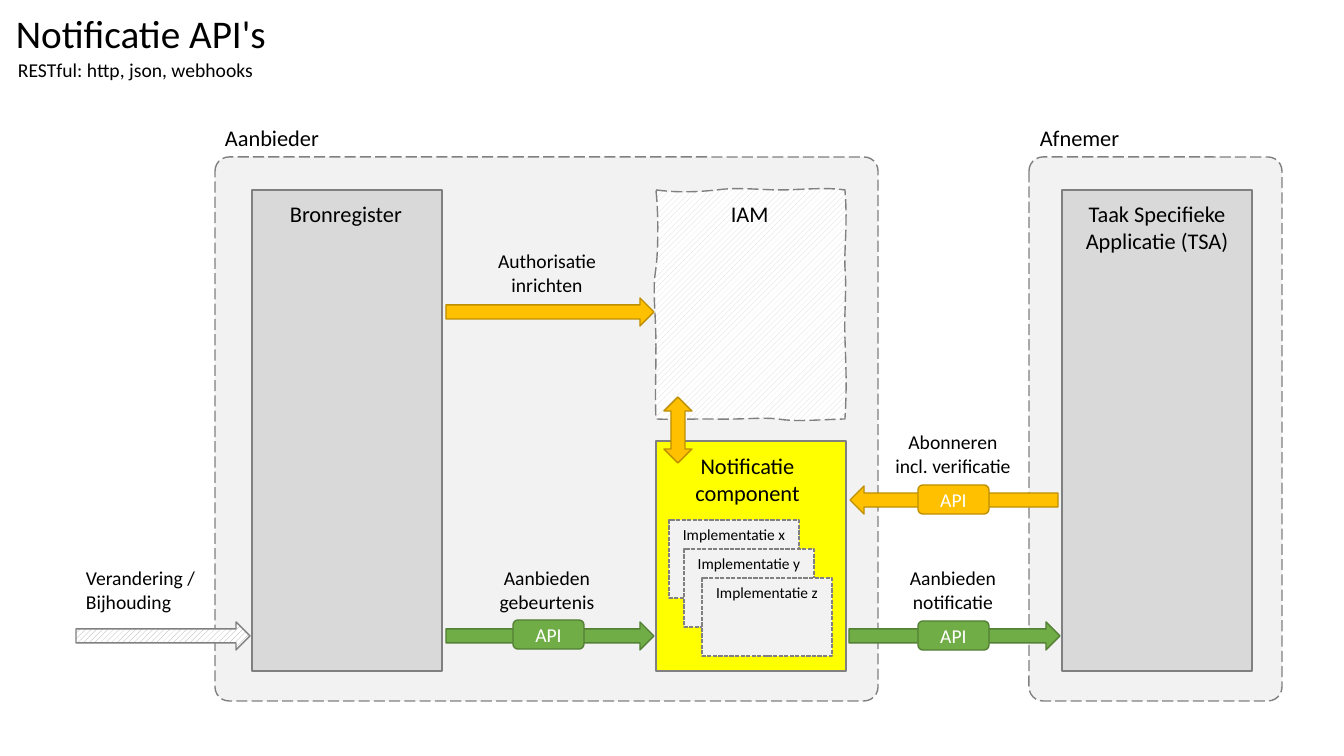
import pptx
import pptx.util
import pptx.dml.color
import pptx.enum.dml
import pptx.enum.shapes
import pptx.enum.text

RGB = pptx.dml.color.RGBColor
SHAPE = pptx.enum.shapes.MSO_SHAPE
DASH = pptx.enum.dml.MSO_LINE
ALIGN = pptx.enum.text.PP_ALIGN
ANCHOR = pptx.enum.text.MSO_ANCHOR

BLACK = RGB(0x00, 0x00, 0x00)
WHITE = RGB(0xFF, 0xFF, 0xFF)
PALE = RGB(0xF2, 0xF2, 0xF2)
LIGHT = RGB(0xD9, 0xD9, 0xD9)
HATCH = RGB(0xA5, 0xA5, 0xA5)
GREY = RGB(0x80, 0x80, 0x80)
YELLOW = RGB(0xFF, 0xFF, 0x00)
GREEN = RGB(0x70, 0xAD, 0x47)
DARK_GREEN = RGB(0x53, 0x80, 0x35)
AMBER = RGB(0xFF, 0xC0, 0x00)
DARK_AMBER = RGB(0xBD, 0x8E, 0x00)

FONT = "Calibri"
PX = 914400 / 100.8
CORNER = 14

ZONES = [(215, 157, 663, 544), (1029, 157, 253, 544)]
BLOCKS = [
    ((656, 441, 190, 230), YELLOW),
    ((252, 190, 190, 481), LIGHT),
    ((1062, 190, 190, 481), LIGHT),
]
IAM_START = (656, 190)
IAM_CURVES = [
    ((678, 193), (698, 192), (717, 190)),
    ((737, 187), (760, 190), (780, 190)),
    ((800, 190), (826, 187), (845, 190)),
    ((848, 223), (844, 249), (845, 268)),
    ((847, 288), (844, 312), (845, 339)),
    ((846, 366), (847, 387), (845, 419)),
    ((813, 420), (795, 422), (778, 419)),
    ((761, 417), (741, 420), (712, 419)),
    ((681, 419), (678, 420), (656, 419)),
    ((655, 396), (656, 381), (656, 346)),
    ((656, 309), (652, 292), (656, 268)),
    ((659, 245), (658, 206), (656, 190)),
]
ARROWS = [
    (SHAPE.RIGHT_ARROW, (76, 622, 174, 28), None, GREY, 0),
    (SHAPE.RIGHT_ARROW, (446, 622, 208, 28), GREEN, DARK_GREEN, 0),
    (SHAPE.RIGHT_ARROW, (849, 622, 211, 28), GREEN, DARK_GREEN, 0),
    (SHAPE.RIGHT_ARROW, (850, 486, 208, 28), AMBER, DARK_AMBER, 180),
    (SHAPE.RIGHT_ARROW, (446, 298, 208, 28), AMBER, DARK_AMBER, 0),
    (SHAPE.UP_DOWN_ARROW, (664, 397, 28, 66), AMBER, DARK_AMBER, 0),
]
BADGES = [
    ((918, 485, 71, 29), AMBER, DARK_AMBER),
    ((918, 621, 71, 29), GREEN, DARK_GREEN),
    ((513, 620, 71, 29), GREEN, DARK_GREEN),
]
IMPLEMENTATIONS = [
    ("Implementatie x", (669, 520, 130, 78)),
    ("Implementatie y", (684, 549, 130, 78)),
    ("Implementatie z", (702, 578, 130, 78)),
]
LABELS = [
    ("Notificatie API's", (6, 4, 273, 57), 28, ALIGN.LEFT, False),
    ("RESTful: http, json, webhooks", (8, 53, 273, 34), 14, ALIGN.LEFT, True),
    ("Aanbieder", (215, 119, 116, 37), 16, ALIGN.LEFT, False),
    ("Afnemer", (1029, 119, 101, 37), 16, ALIGN.CENTER, False),
    ("Bronregister", (280, 195, 134, 37), 16, ALIGN.LEFT, False),
    ("IAM", (721, 195, 58, 37), 16, ALIGN.LEFT, False),
    ("Taak Specifieke\nApplicatie (TSA)", (1075, 195, 164, 64), 16, ALIGN.CENTER, False),
    ("Notificatie component", (669, 447, 157, 64), 16, ALIGN.CENTER, True),
    ("Authorisatie inrichten", (468, 244, 158, 57), 14, ALIGN.CENTER, True),
    ("Abonneren\nincl. verificatie", (874, 425, 158, 57), 14, ALIGN.CENTER, True),
    ("Verandering / Bijhouding", (76, 561, 172, 57), 14, ALIGN.LEFT, True),
    ("Aanbieden gebeurtenis", (468, 561, 158, 57), 14, ALIGN.CENTER, True),
    ("Aanbieden notificatie", (874, 561, 158, 57), 14, ALIGN.CENTER, True),
]


def emu(box):
    return [pptx.util.Emu(round(v * PX)) for v in box]


def write(sp, text, size=14, color=BLACK, align=ALIGN.CENTER, anchor=ANCHOR.TOP, wrap=True):
    tf = sp.text_frame
    tf.word_wrap = wrap
    tf.vertical_anchor = anchor
    for i, line in enumerate(text.split("\n")):
        p = tf.add_paragraph() if i else tf.paragraphs[0]
        p.alignment = align
        r = p.add_run()
        r.text = line
        r.font.name = FONT
        r.font.size = pptx.util.Pt(size)
        r.font.color.rgb = color


def paint(sp, fill, line, dash=None):
    sp.shadow.inherit = False
    if isinstance(fill, tuple) and not isinstance(fill, RGB):
        sp.fill.patterned()
        sp.fill.pattern = pptx.enum.dml.MSO_PATTERN.WIDE_UPWARD_DIAGONAL
        sp.fill.fore_color.rgb, sp.fill.back_color.rgb = fill
    else:
        sp.fill.solid()
        sp.fill.fore_color.rgb = fill
    sp.line.color.rgb = line
    sp.line.width = pptx.util.Pt(1)
    if dash:
        sp.line.dash_style = dash


def add_box(s, kind, box, fill, line, dash=None):
    sp = s.shapes.add_shape(kind, *emu(box))
    paint(sp, fill, line, dash)
    return sp


def curve_points(start, curves, steps=8):
    for c1, c2, end in curves:
        for t in (n / steps for n in range(1, steps + 1)):
            u = 1 - t
            weights = (u ** 3, 3 * u * u * t, 3 * u * t * t, t ** 3)
            knots = (start, c1, c2, end)
            yield emu(sum(w * k[axis] for w, k in zip(weights, knots)) for axis in (0, 1))
        start = end


def main():
    prs = pptx.Presentation()
    prs.slide_width, prs.slide_height = emu((1344, 756))
    s = prs.slides.add_slide(prs.slide_layouts[6])

    for box in ZONES:
        sp = add_box(s, SHAPE.ROUNDED_RECTANGLE, box, PALE, GREY, DASH.LONG_DASH)
        sp.adjustments[0] = CORNER / min(box[2:])
    for box, fill in BLOCKS:
        add_box(s, SHAPE.RECTANGLE, box, fill, GREY)

    builder = s.shapes.build_freeform(*emu(IAM_START))
    builder.add_line_segments(curve_points(IAM_START, IAM_CURVES), close=True)
    paint(builder.convert_to_shape(), (LIGHT, WHITE), GREY, DASH.LONG_DASH)

    for kind, box, fill, line, rotation in ARROWS:
        sp = add_box(s, kind, box, fill or (HATCH, WHITE), line)
        sp.rotation = rotation
    for box, fill, line in BADGES:
        sp = add_box(s, SHAPE.ROUNDED_RECTANGLE, box, fill, line)
        write(sp, "API", color=WHITE, anchor=ANCHOR.MIDDLE)
    for text, box in IMPLEMENTATIONS:
        sp = add_box(s, SHAPE.RECTANGLE, box, PALE, GREY, DASH.SQUARE_DOT)
        write(sp, text, size=11)
    for text, box, size, align, wrap in LABELS:
        sp = s.shapes.add_textbox(*emu(box))
        write(sp, text, size=size, align=align, wrap=wrap)

    prs.save("out.pptx")


if __name__ == "__main__":
    main()
